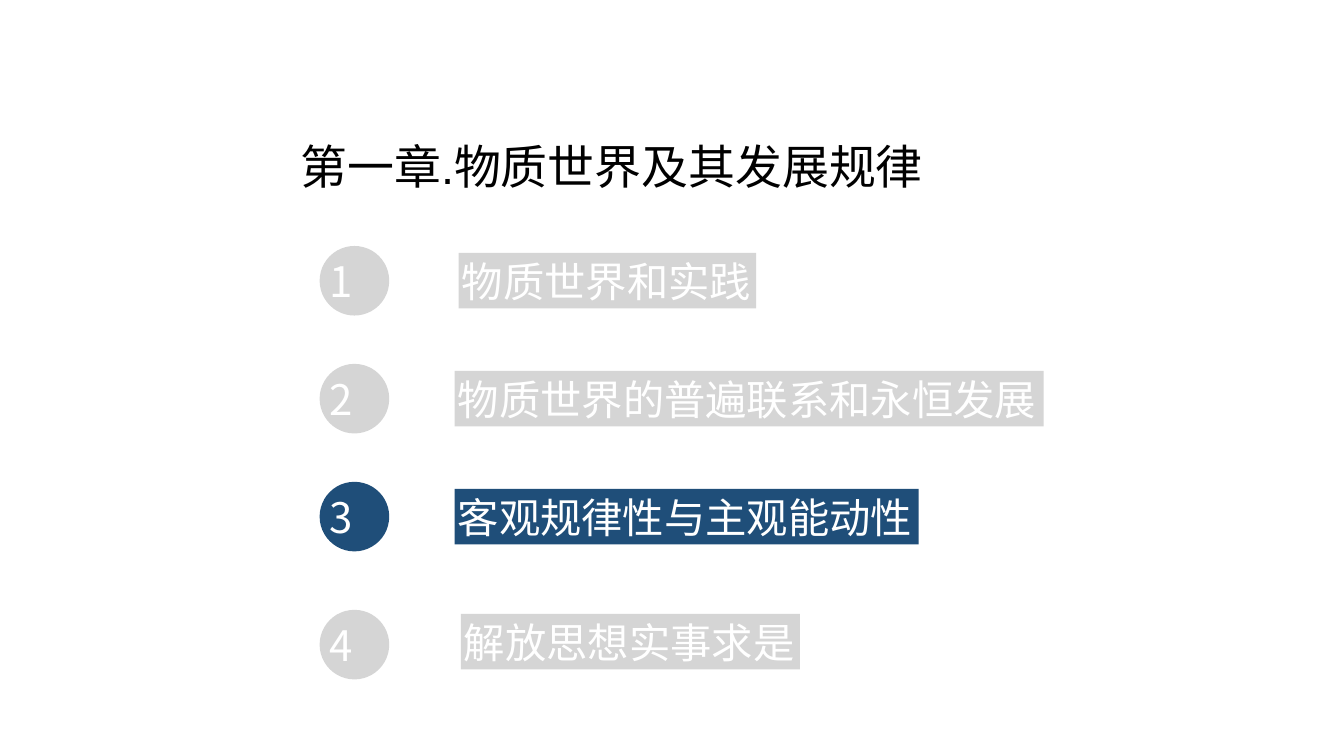
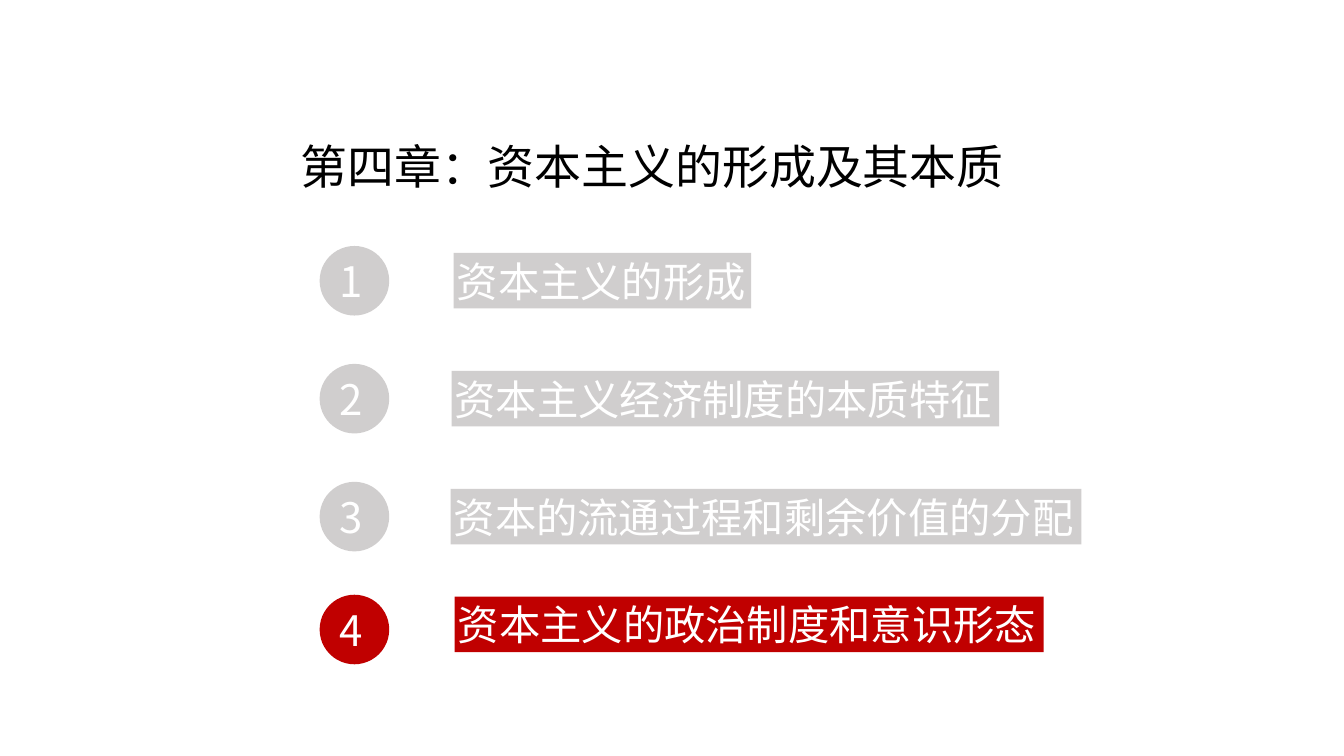
from dataclasses import dataclass

from lxml.etree import SubElement
from pptx import Presentation
from pptx.dml.color import RGBColor
from pptx.enum.shapes import MSO_SHAPE as Preset
from pptx.enum.text import MSO_ANCHOR as Anchor, MSO_AUTO_SIZE as AutoSize, PP_ALIGN as Align
from pptx.oxml.ns import qn
from pptx.util import Inches, Pt

# Shared style
FONT = "Noto Sans CJK SC"
BLACK, WHITE = "000000", "FFFFFF"
TITLE_SIZE, LABEL_SIZE, NUMBER_SIZE = 33.5, 29.5, 30
TEXT_INSET = 0.03

# Shared grid, in inches
TITLE_LEFT, TITLE_TOP, TITLE_HEIGHT = 2.95, 1.1, 0.81
NUMBER_LEFT, NUMBER_SIDE = 3.17, 0.69
LABEL_HEIGHT = 0.55
FIRST_ROW, ROW_PITCH = 2.44, 1.17
LABEL_DROP = (NUMBER_SIDE - LABEL_HEIGHT) / 2
CHARACTER_WIDTH, LABEL_PADDING = 0.413, 0.06


@dataclass
class Chapter:
    title: str
    title_font: str
    title_width: float
    sections: list  # (label left, label text)
    current: int
    muted: str
    accent: str
    number_inset: float
    last_row: float
    last_label_drop: float


CHAPTERS = [
    Chapter("第一章.物质世界及其发展规律", "Arial", 6.29,
            [(4.55, "物质世界和实践"),
             (4.51, "物质世界的普遍联系和永恒发展"),
             (4.51, "客观规律性与主观能动性"),
             (4.57, "解放思想实事求是")],
            3, "D5D5D5", "1F4E79", 0, 6.05, 0.04),
    Chapter("第四章：资本主义的形成及其本质", FONT, 7.1,
            [(4.5, "资本主义的形成"),
             (4.48, "资本主义经济制度的本质特征"),
             (4.47, "资本的流通过程和剩余价值的分配"),
             (4.51, "资本主义的政治制度和意识形态")],
            4, "D0CECE", "C00000", 0.1, 5.9, 0.02),
]


def color(value):
    return RGBColor.from_string(value)


def write(shape, text, size, font_color, insets, font=FONT, spacing=1.0):
    """Put one left-aligned, vertically centred paragraph in a shape."""
    frame = shape.text_frame
    frame.text = text
    frame.word_wrap = True
    frame.auto_size = AutoSize.NONE
    frame.vertical_anchor = Anchor.MIDDLE
    (frame.margin_left, frame.margin_top,
     frame.margin_right, frame.margin_bottom) = map(Inches, insets)
    paragraph = frame.paragraphs[0]
    paragraph.alignment = Align.LEFT
    paragraph.line_spacing = spacing
    paragraph.space_before = Pt(0)
    for run in paragraph.runs:
        run.font.size = Pt(size)
        run.font.name = font
        run.font.color.rgb = color(font_color)
        # East Asian typeface
        SubElement(run.font._element, qn("a:ea")).set("typeface", FONT)


def add_title(slide, chapter):
    title = slide.shapes.title
    title.left, title.top = Inches(TITLE_LEFT), Inches(TITLE_TOP)
    title.width, title.height = Inches(chapter.title_width), Inches(TITLE_HEIGHT)
    write(title, chapter.title, TITLE_SIZE, BLACK, [TEXT_INSET] * 4,
          chapter.title_font, 1.5)
    title.text_frame.auto_size = AutoSize.SHAPE_TO_FIT_TEXT


def add_filled(slide, preset, box, fill):
    shape = slide.shapes.add_shape(preset, *map(Inches, box))
    shape.shadow.inherit = False
    shape.fill.solid()
    shape.fill.fore_color.rgb = color(fill)
    shape.line.fill.background()
    return shape


def add_section(slide, chapter, number, label_left, text):
    is_last = number == len(chapter.sections)
    top = chapter.last_row if is_last else FIRST_ROW + (number - 1) * ROW_PITCH
    drop = chapter.last_label_drop if is_last else LABEL_DROP
    fill = chapter.accent if number == chapter.current else chapter.muted

    # Number disc
    disc = add_filled(slide, Preset.OVAL,
                      (NUMBER_LEFT, top, NUMBER_SIDE, NUMBER_SIDE), fill)
    write(disc, str(number), NUMBER_SIZE, WHITE, (chapter.number_inset, 0, 0, 0))

    # Section label, as wide as its text
    width = len(text) * CHARACTER_WIDTH + LABEL_PADDING
    label = add_filled(slide, Preset.RECTANGLE,
                       (label_left, top + drop, width, LABEL_HEIGHT), fill)
    write(label, text, LABEL_SIZE, WHITE, [TEXT_INSET] * 4)


def main():
    presentation = Presentation()
    presentation.slide_width, presentation.slide_height = Inches(13.33), Inches(7.5)
    title_only = presentation.slide_layouts[5]
    for chapter in CHAPTERS:
        slide = presentation.slides.add_slide(title_only)
        add_title(slide, chapter)
        for number, (label_left, text) in enumerate(chapter.sections, 1):
            add_section(slide, chapter, number, label_left, text)
    presentation.save("out.pptx")


if __name__ == "__main__":
    main()
